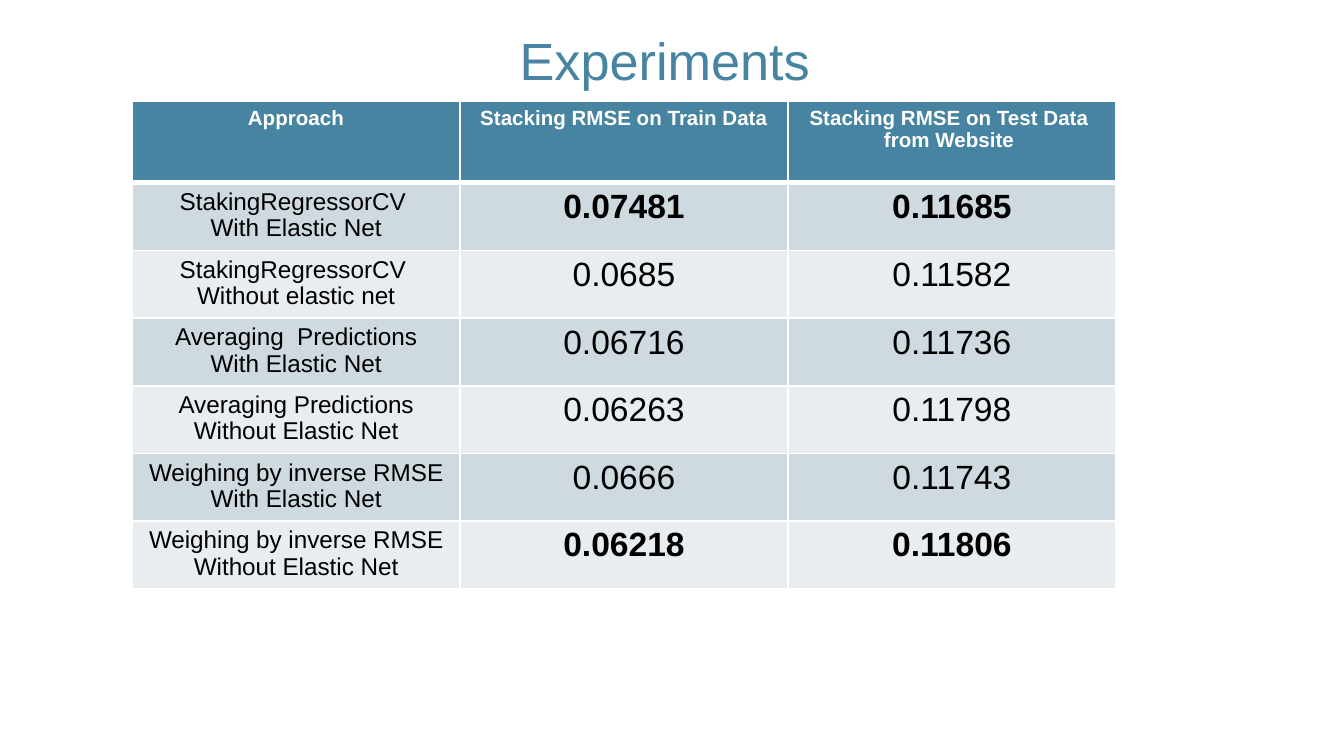
from lxml import etree
from pptx import Presentation, util as u
from pptx.dml.color import RGBColor
from pptx.enum import text
from pptx.oxml.ns import qn

SCALE = 914400 / 134.4
FONT = "Arial"
HUES = {
    "head": "4784A1",
    "dark": "CFD9E0",
    "light": "E9EDF0",
    "line": "FFFFFF",
    "ink": "000000",
}
HEADS = [
    ["Approach"],
    ["Stacking RMSE on Train Data"],
    ["Stacking RMSE on Test Data ", "from Website "],
]
TESTS = [
    ("StakingRegressorCV ", "With Elastic Net", "0.07481", "0.11685", True),
    ("StakingRegressorCV ", "Without elastic net", "0.0685", "0.11582", False),
    ("Averaging  Predictions", "With Elastic Net", "0.06716", "0.11736", False),
    ("Averaging Predictions", "Without Elastic Net", "0.06263", "0.11798", False),
    ("Weighing by inverse RMSE", "With Elastic Net", "0.0666", "0.11743", False),
    ("Weighing by inverse RMSE", "Without Elastic Net", "0.06218", "0.11806", True),
]


def px(n):
    """Turn px into EMU."""
    return u.Emu(round(n * SCALE))


def hue(name):
    """Look up a colour."""
    return RGBColor.from_string(HUES[name])


def write(frame, lines, size, ink, bold=False, pitch=1.0):
    """Fill a text frame with centred lines."""
    for i, line in enumerate(lines):
        para = frame.paragraphs[0] if i == 0 else frame.add_paragraph()
        para.alignment = text.PP_ALIGN.CENTER
        para.line_spacing = pitch
        run = para.add_run()
        run.text = line
        run.font.name = FONT
        run.font.size = u.Pt(size)
        run.font.bold = bold
        run.font.color.rgb = hue(ink)


def edge(cell, side, width):
    """Draw one border of a cell."""
    props = cell._tc.get_or_add_tcPr()
    line = etree.SubElement(props, qn(f"a:ln{side}"), w=str(u.Pt(width)))
    fill = etree.SubElement(line, qn("a:solidFill"))
    etree.SubElement(fill, qn("a:srgbClr"), val=HUES["line"])


def paint(cell, lines, size, ink, fill, bold, base=1, top=1):
    """Format one table cell."""
    for side, width in (("L", 1), ("R", 1), ("T", top), ("B", base)):
        edge(cell, side, width)
    cell.fill.solid()
    cell.fill.fore_color.rgb = hue(fill)
    write(cell.text_frame, lines, size, ink, bold, 0.97)


def title(slide, x, y, w, h):
    """Place the slide title."""
    shape = slide.shapes.title
    shape.left, shape.top, shape.width, shape.height = map(px, (x, y, w, h))
    shape.text_frame.vertical_anchor = text.MSO_ANCHOR.MIDDLE
    write(shape.text_frame, ["Experiments "], 28, "head")


def results(slide, x, y, w, h, head):
    """Place the table of results."""
    rows, cols = len(TESTS) + 1, len(HEADS)
    grid = slide.shapes.add_table(rows, cols, *map(px, (x, y, w, h))).table
    for col in grid.columns:
        col.width = px(w / cols)
    for i, row in enumerate(grid.rows):
        row.height = px((h - head) / len(TESTS) if i else head)
    for j, lines in enumerate(HEADS):
        paint(grid.cell(0, j), lines, 11, "line", "head", True, base=3)
    for i, (name, mode, train, test, bold) in enumerate(TESTS, 1):
        fill = "dark" if i % 2 else "light"
        top = 3 if i == 1 else 1
        paint(grid.cell(i, 0), [name, mode], 13, "ink", fill, False, top=top)
        for j, score in enumerate((train, test), 1):
            paint(grid.cell(i, j), [score], 18, "ink", fill, bold, top=top)


def main():
    """Build and save the deck."""
    deck = Presentation()
    deck.slide_width, deck.slide_height = px(1344), px(756)
    slide = deck.slides.add_slide(deck.slide_layouts[5])
    title(slide, 0, 17, 1344, 85)
    results(slide, 132, 101, 984, 488, 82)
    deck.save("out.pptx")


if __name__ == "__main__":
    main()
